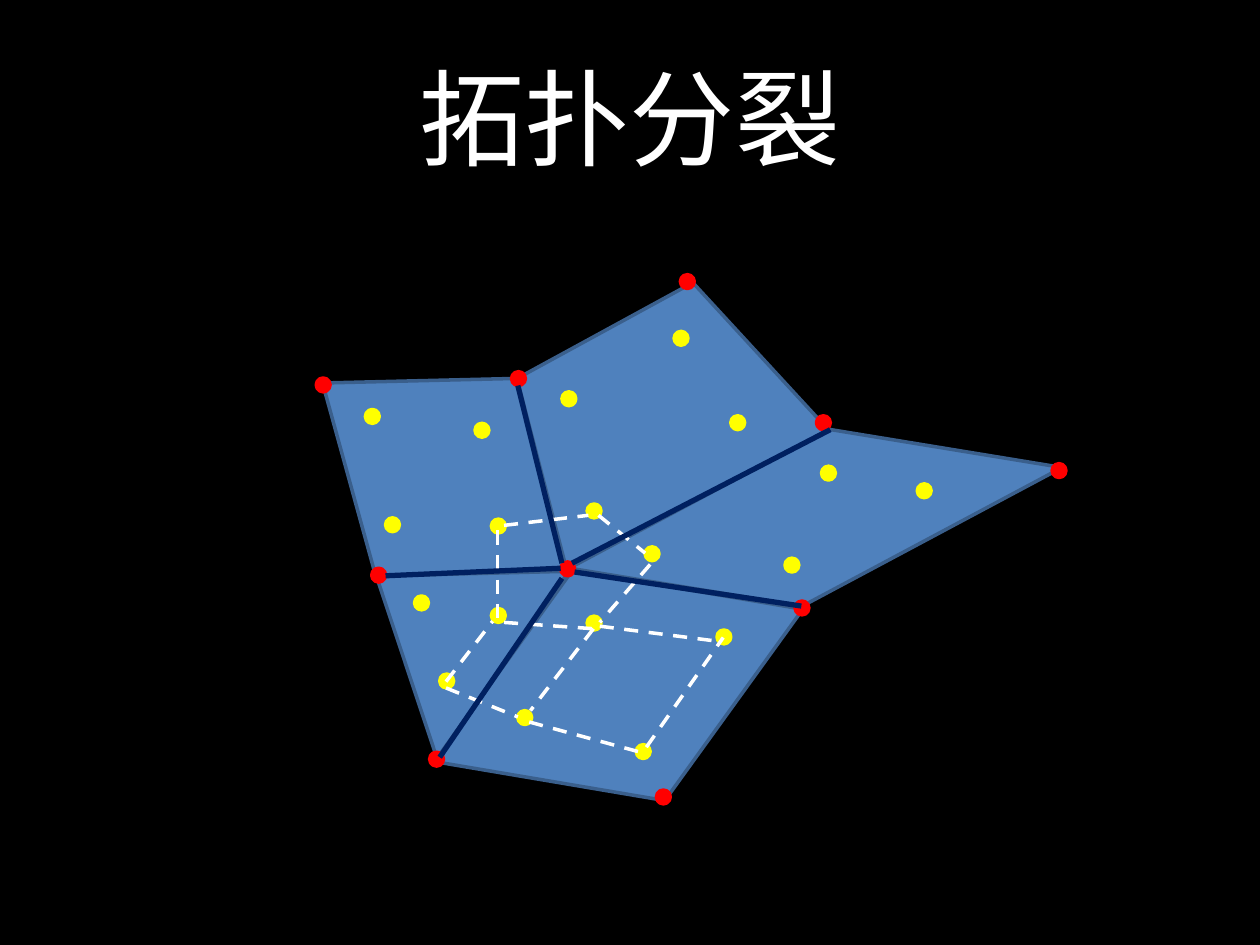
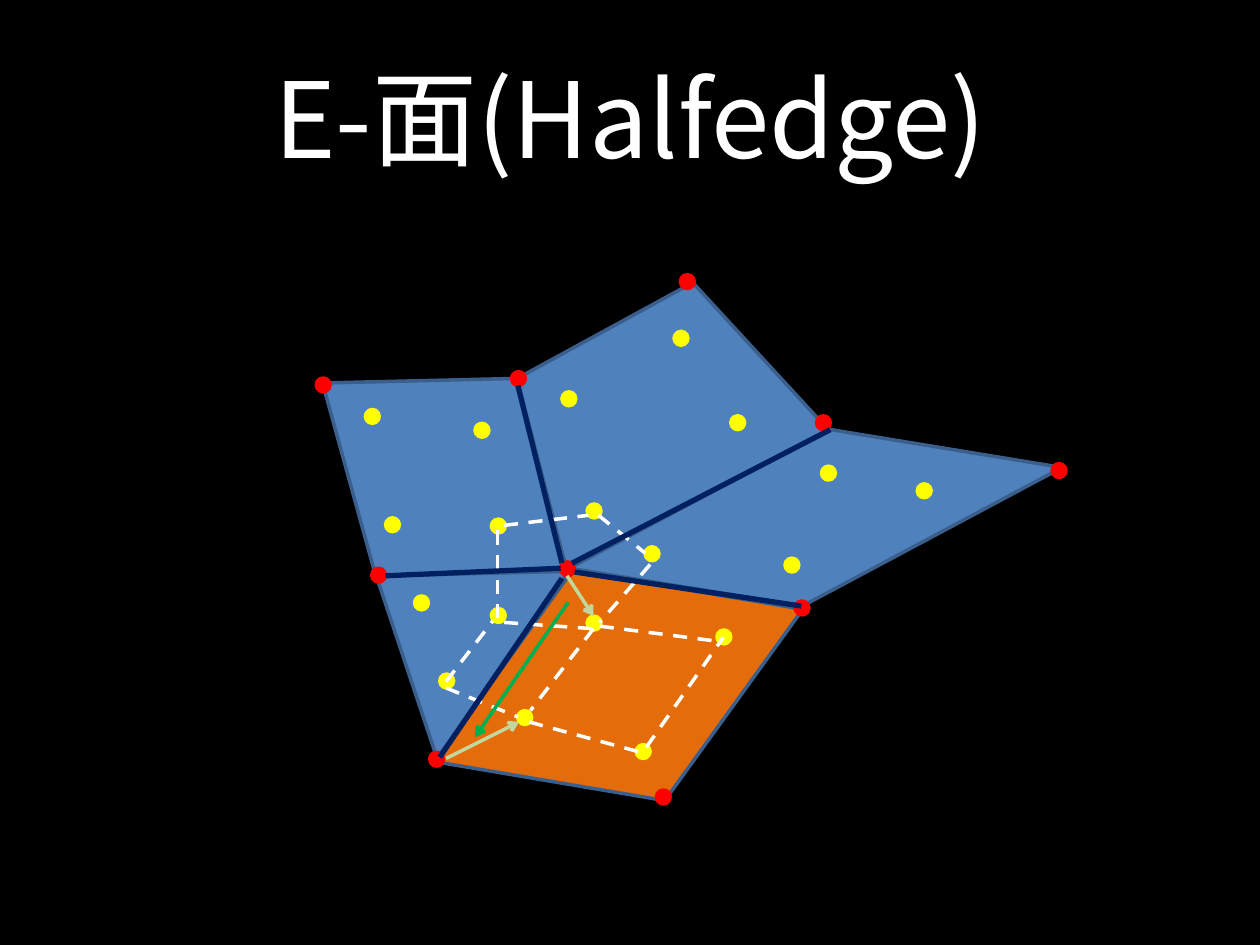
from lxml import etree
from pptx import Presentation
from pptx import util as u
from pptx.dml.color import RGBColor
from pptx.enum import dml, shapes, text
from pptx.oxml.ns import qn

BLACK = RGBColor(0x00, 0x00, 0x00)
WHITE = RGBColor(0xFF, 0xFF, 0xFF)
BLUE = RGBColor(0x4F, 0x81, 0xBD)
OUTLINE = RGBColor(0x3A, 0x5F, 0x8C)
ORANGE = RGBColor(0xE4, 0x6C, 0x0A)
RED = RGBColor(0xFF, 0x00, 0x00)
YELLOW = RGBColor(0xFF, 0xFF, 0x00)
NAVY = RGBColor(0x00, 0x20, 0x60)
GREEN = RGBColor(0x00, 0xB0, 0x50)
PALE_GREEN = RGBColor(0xC3, 0xD6, 0x9B)

FONT = "Noto Sans CJK SC"
CM_PER_UNIT = 2.54  # the mesh grid is 10 by 7.5 units
DOT = 0.11
KIND = shapes.MSO_SHAPE

# name: (preset, left, top, width, height, rotation, adjustment)
FACES = {
    "upper left": (KIND.PARALLELOGRAM, 2.56, 3.04, 1.97, 1.5, 254.6, None),
    "top": (KIND.TRAPEZOID, 3.99, 2.53, 2.36, 1.54, 331.4, None),
    "lower left": (KIND.ISOSCELES_TRIANGLE, 2.58, 4.31, 1.82, 1.23, 305.1, None),
    "bottom": (KIND.PARALLELOGRAM, 3.57, 4.6, 2.68, 1.68, 9.6, 0.492),
    "right": (KIND.PARALLELOGRAM, 4.61, 3.4, 3.73, 1.42, 9.3, 1.309),
}

# left and top of each dot
VERTICES = [
    (4.45, 4.46), (8.35, 3.68), (6.48, 3.3), (5.4, 2.18), (6.31, 4.77),
    (5.21, 6.27), (3.41, 5.97), (2.51, 3), (4.06, 2.95), (2.95, 4.51),
]
FACE_POINTS = [
    (3.29, 4.73), (5.12, 4.34), (4.66, 4), (3.9, 4.12), (3.9, 4.83),
    (5.69, 5), (4.11, 5.64), (5.05, 5.91), (6.23, 4.43), (6.52, 3.7),
    (7.28, 3.84), (5.8, 3.3), (5.35, 2.63), (4.46, 3.11), (3.77, 3.36),
    (3.49, 5.35), (2.9, 3.25), (3.06, 4.11), (4.66, 4.89),
]

# x and y of the start, x and y of the end
NEW_EDGES = [
    (4, 4.17, 4.67, 4.09), (4.75, 4.09, 5.12, 4.39), (3.95, 4.21, 3.95, 4.93),
    (4, 4.94, 4.71, 4.99), (5.16, 4.48, 4.76, 4.94), (4.71, 4.99, 4.21, 5.64),
    (4.76, 4.97, 5.7, 5.09), (4.2, 5.73, 5.12, 5.98), (5.13, 5.93, 5.74, 5.06),
    (3.54, 5.46, 4.11, 5.69), (3.54, 5.41, 3.91, 4.93),
]
SHARED_EDGES = [
    (4.11, 3.06, 4.46, 4.47), (6.59, 3.41, 4.54, 4.47), (4.46, 4.59, 3.49, 6.01),
    (4.45, 4.51, 3.06, 4.57), (6.36, 4.81, 4.56, 4.54),
]
HALFEDGES = [
    (GREEN, (4.51, 4.78, 3.77, 5.85)),
    (PALE_GREEN, (3.54, 6.02, 4.12, 5.73)),
    (PALE_GREEN, (4.5, 4.57, 4.71, 4.89)),
]

# title, highlighted face, arrows
SLIDES = [
    ("拓扑分裂", None, []),
    ("E-面(Halfedge)", "bottom", HALFEDGES),
]


def grid(*values):
    """Turn grid units into lengths."""
    return [u.Cm(v * CM_PER_UNIT) for v in values]


def add_title(s, title):
    tf = s.shapes.add_textbox(*grid(0.5, 0.3, 9, 1.25)).text_frame
    tf.word_wrap = True
    tf.vertical_anchor = text.MSO_ANCHOR.MIDDLE
    p = tf.paragraphs[0]
    p.alignment = text.PP_ALIGN.CENTER
    r = p.add_run()
    r.text = title
    r.font.size = u.Pt(60)
    r.font.name = FONT
    r.font.color.rgb = WHITE
    etree.SubElement(r.font._element, qn("a:ea")).set("typeface", FONT)


def add_filled(s, kind, box, fill, outline):
    sp = s.shapes.add_shape(kind, *grid(*box))
    sp.shadow.inherit = False
    sp.fill.solid()
    sp.fill.fore_color.rgb = fill
    sp.line.color.rgb = outline
    sp.line.width = u.Pt(2)
    return sp


def add_edge(s, ends, color, width=2, dashed=False, arrow=False):
    edge = s.shapes.add_connector(shapes.MSO_CONNECTOR.STRAIGHT, *grid(*ends))
    edge.line.color.rgb = color
    edge.line.width = u.Pt(width)
    if dashed:
        edge.line.dash_style = dml.MSO_LINE.DASH
    if arrow:
        etree.SubElement(edge.line._get_or_add_ln(), qn("a:tailEnd")).set("type", "arrow")
    etree.SubElement(edge._element.spPr, qn("a:effectLst"))


def add_mesh(s, highlighted):
    for name, (kind, *box, rotation, adjustment) in FACES.items():
        face = add_filled(s, kind, box, ORANGE if name == highlighted else BLUE, OUTLINE)
        face.rotation = rotation
        if adjustment is not None:
            face.adjustments[0] = adjustment
    for color, dots in ((RED, VERTICES), (YELLOW, FACE_POINTS)):
        for left, top in dots:
            add_filled(s, KIND.FLOWCHART_CONNECTOR, (left, top, DOT, DOT), color, color)
    for ends in NEW_EDGES:
        add_edge(s, ends, WHITE, dashed=True)
    for ends in SHARED_EDGES:
        add_edge(s, ends, NAVY, width=3)


def main():
    prs = Presentation()
    prs.slide_width, prs.slide_height = grid(10, 7.5)
    for title, highlighted, arrows in SLIDES:
        s = prs.slides.add_slide(prs.slide_layouts[6])
        s.background.fill.solid()
        s.background.fill.fore_color.rgb = BLACK
        add_title(s, title)
        add_mesh(s, highlighted)
        for color, ends in arrows:
            add_edge(s, ends, color, arrow=True)
    prs.save("out.pptx")


if __name__ == "__main__":
    main()
